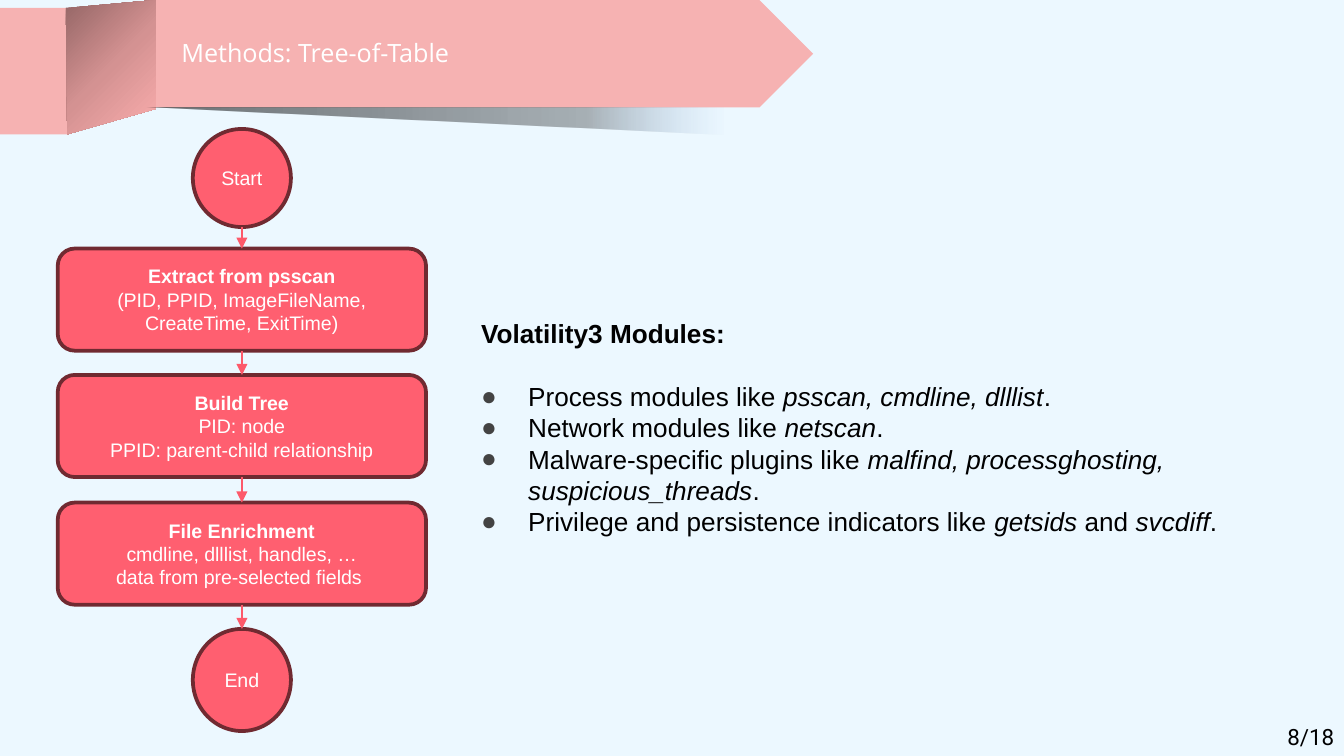
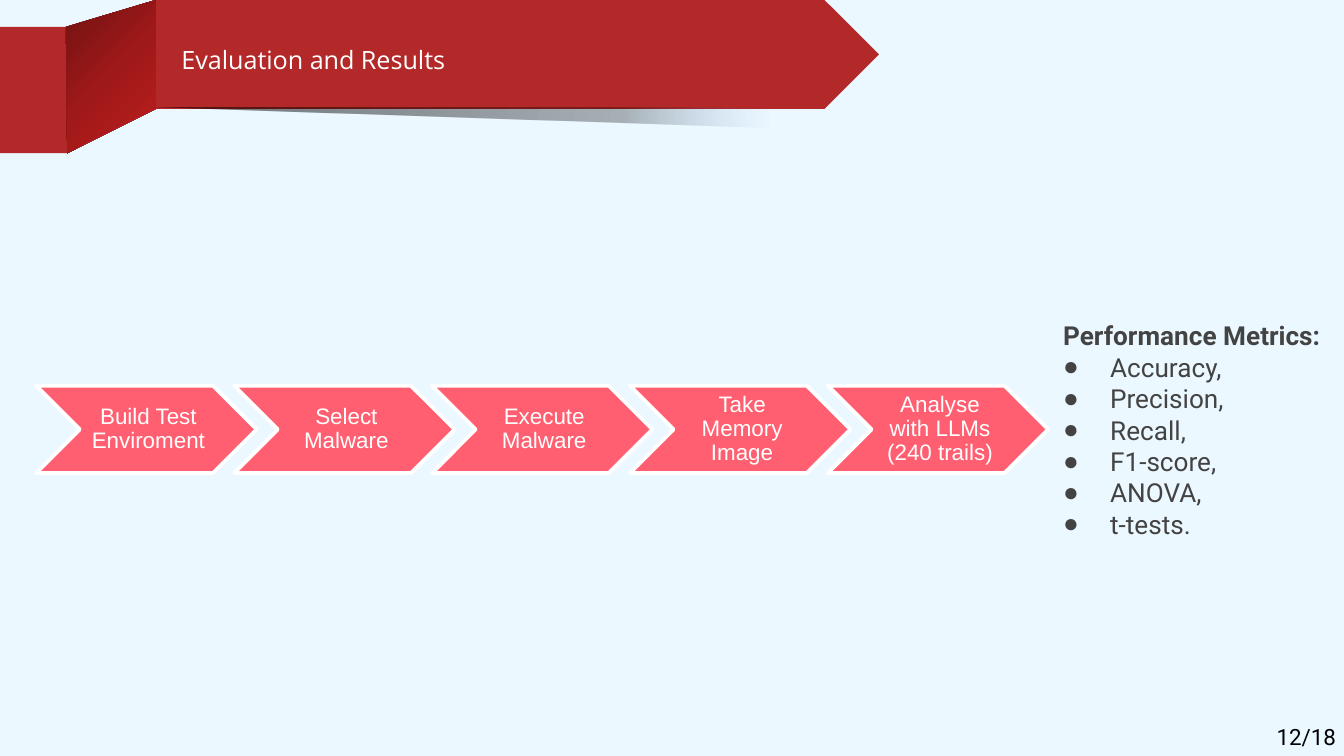
from lxml import etree
from pptx import Presentation
from pptx.dml.color import RGBColor
from pptx.enum.shapes import MSO_CONNECTOR, MSO_SHAPE
from pptx.enum.text import MSO_ANCHOR, MSO_AUTO_SIZE, PP_ALIGN
from pptx.oxml.ns import qn
from pptx.util import Inches, Pt

RECTANGLE, PENTAGON = MSO_SHAPE.RECTANGLE, MSO_SHAPE.PENTAGON
TRIANGLE, CHEVRON = MSO_SHAPE.RIGHT_TRIANGLE, MSO_SHAPE.CHEVRON
CIRCLE, ROUNDED = MSO_SHAPE.OVAL, MSO_SHAPE.ROUNDED_RECTANGLE
STRAIGHT = MSO_CONNECTOR.STRAIGHT
LEFT, CENTER = PP_ALIGN.LEFT, PP_ALIGN.CENTER
TOP, MIDDLE = MSO_ANCHOR.TOP, MSO_ANCHOR.MIDDLE
NO_AUTOFIT = MSO_AUTO_SIZE.NONE

PALE_BLUE, WHITE, BLACK, GREY = "ECF8FF", "FFFFFF", "000000", "434343"
CORAL, MAROON, ARROW_PINK = "FF5F70", "702A31", "FD596A"
# Gradient stops: position in percent, colour, opacity in percent
SHADOW_STOPS = [(0, BLACK, 54), (1, BLACK, 54), (76, BLACK, 29), (100, "3B74C5", 0)]


def paint(shape, fill, line=None, width=2, angle=45):
    """Fill with one hex colour or with gradient stops, and outline if asked."""
    shape.shadow.inherit = False
    if isinstance(fill, str):
        shape.fill.solid()
        shape.fill.fore_color.rgb = RGBColor.from_string(fill)
    else:
        shape.fill.gradient()
        shape.fill.gradient_angle = 360 - angle
        stops = shape.element.spPr.find(qn("a:gradFill")).find(qn("a:gsLst"))
        stops.clear()
        for position, color, opacity in fill:
            stop = etree.SubElement(stops, qn("a:gs"), pos=str(position * 1000))
            tint = etree.SubElement(stop, qn("a:srgbClr"), val=color)
            etree.SubElement(tint, qn("a:alpha"), val=str(opacity * 1000))
    if line:
        shape.line.color.rgb = RGBColor.from_string(line)
        shape.line.width = Pt(width)
    else:
        shape.line.fill.background()


def write(shape, paragraphs, font="Arial", size=12, color=WHITE, align=LEFT,
          anchor=TOP, insets=(0.1, 0.05, 0.1, 0.05), spacing=1.0, heading=False,
          heading_gap=0, bullets=False, wrap=True):
    """Write paragraphs; *starred* words are italic, a heading is the bold first one."""
    frame = shape.text_frame
    frame.word_wrap = wrap
    frame.auto_size = NO_AUTOFIT
    frame.vertical_anchor = anchor
    (frame.margin_left, frame.margin_top,
     frame.margin_right, frame.margin_bottom) = map(Inches, insets)
    for index, text in enumerate(paragraphs):
        is_heading = heading and index == 0
        paragraph = frame.add_paragraph() if index else frame.paragraphs[0]
        paragraph.alignment = align
        paragraph.line_spacing = spacing
        paragraph.space_before = Pt(0)
        paragraph.space_after = Pt(heading_gap if is_heading else 0)
        for line_index, line in enumerate(text.split("\n")):
            if line_index:
                paragraph.add_line_break()
            for piece_index, piece in enumerate(line.split("*")):
                run = paragraph.add_run()
                run.text = piece
                run.font.name = font
                run.font.size = Pt(size)
                run.font.bold = is_heading
                run.font.italic = piece_index % 2 == 1
                run.font.color.rgb = RGBColor.from_string(color)
        if bullets:
            properties = paragraph._p.get_or_add_pPr()
            properties.set("marL", str(Inches(0.15 if is_heading else 0.5)))
            properties.set("indent", str(Inches(0 if is_heading else -0.35)))
            if is_heading:
                etree.SubElement(properties, qn("a:buNone"))
            else:
                bullet_color = etree.SubElement(properties, qn("a:buClr"))
                etree.SubElement(bullet_color, qn("a:srgbClr"), val=GREY)
                etree.SubElement(properties, qn("a:buChar"), char="●")


presentation = Presentation()
presentation.slide_width = Inches(10)
presentation.slide_height = Inches(10 * 9 / 16)
background = presentation.slide_master.background.fill
background.solid()
background.fore_color.rgb = RGBColor.from_string(PALE_BLUE)

pages = [
    dict(
        title="Methods: Tree-of-Table", title_top=0.24, ribbon="F6B2B2",
        fold=[(0, "956666", 100), (50, "D49292", 100), (100, "FBADAD", 100)],
        tail_top=0.06, ribbon_size=(4.89, 0.8), shadow=(1.09, 0.8, 4.3, 0.2),
        number="8/18", number_left=9.48,
        notes_at=(3.33, 2.31, 6.01, 1.75), font="Arial", color=BLACK, heading_gap=17,
        notes=[
            "Volatility3 Modules:",
            "Process modules like *psscan, cmdline, dlllist*.",
            "Network modules like *netscan*.",
            "Malware-specific plugins like *malfind, processghosting, suspicious_threads*.",
            "Privilege and persistence indicators like *getsids* and *svcdiff*.",
        ],
    ),
    dict(
        title="Evaluation and Results", title_top=0.29, ribbon="B32828",
        fold=[(0, "701212", 100), (50, "A01919", 100), (100, "BD1E1E", 100)],
        tail_top=0.2, ribbon_size=(5.38, 0.81), shadow=(1.13, 0.8, 4.6, 0.15),
        number="12/18", number_left=9.4,
        notes_at=(7.66, 2.33, 2.34, 1.75), font="Roboto", color=GREY, heading_gap=0,
        notes=["Performance Metrics:", "Accuracy,", "Precision,", "Recall,",
               "F1-score,", "ANOVA,", "t-tests."],
    ),
]

# Ribbon title, notes and page number of each slide
slides = []
for page in pages:
    slide = presentation.slides.add_slide(presentation.slide_layouts[1])
    slides.append(slide)
    shapes = slide.shapes
    tail_top = page["tail_top"]

    tail = shapes.add_shape(RECTANGLE, 0, Inches(tail_top), Inches(0.51), Inches(0.94))
    paint(tail, page["ribbon"])
    band = shapes.add_shape(PENTAGON, Inches(1.16), 0, *map(Inches, page["ribbon_size"]))
    paint(band, page["ribbon"])

    outline = [(0.49, tail_top), (1.16, 0), (1.16, 0.81), (0.5, tail_top + 0.94)]
    corners = [(Inches(x), Inches(y)) for x, y in outline]
    builder = shapes.build_freeform(*corners[0])
    builder.add_line_segments(corners[1:])
    paint(builder.convert_to_shape(), page["fold"])

    shadow = shapes.add_shape(TRIANGLE, *map(Inches, page["shadow"]))
    shadow.rotation = 180
    paint(shadow, SHADOW_STOPS, angle=180)

    title = shapes.title
    title.element.getparent().append(title.element)  # in front of the ribbon
    title.left, title.top = Inches(1.28), Inches(page["title_top"])
    title.width, title.height = Inches(4.01), Inches(0.3)
    write(title, [page["title"]], font="Open Sans", size=13.5,
          insets=(0.07, 0.04, 0.07, 0.04))

    notes = slide.placeholders[1]
    notes.left, notes.top, notes.width, notes.height = map(Inches, page["notes_at"])
    write(notes, page["notes"], font=page["font"], size=14, color=page["color"],
          heading=True, heading_gap=page["heading_gap"], bullets=True)

    number_left = page["number_left"]
    page_number = shapes.add_textbox(Inches(number_left), Inches(5.33),
                                     Inches(10 - number_left), Inches(0.29))
    write(page_number, [page["number"]], font="Roboto", color=BLACK, wrap=False)

methods, evaluation = slides

# Flow from start to end: preset, top, width, height, text
flow_center = 1.8
flow = [
    (CIRCLE, 0.96, 0.73, 0.73, ["Start"]),
    (ROUNDED, 1.85, 2.74, 0.76,
     ["Extract from psscan", "(PID, PPID, ImageFileName, CreateTime, ExitTime)"]),
    (ROUNDED, 2.79, 2.74, 0.76,
     ["Build Tree", "PID: node\nPPID: parent-child relationship"]),
    (ROUNDED, 3.74, 2.74, 0.76,
     ["File Enrichment", "cmdline, dlllist, handles, …", "data from pre-selected fields "]),
    (CIRCLE, 4.68, 0.73, 0.76, ["End"]),
]
for preset, top, width, height, text in flow:
    step = methods.shapes.add_shape(preset, Inches(flow_center - width / 2), Inches(top),
                                    Inches(width), Inches(height))
    paint(step, CORAL, line=MAROON)
    write(step, text, size=10.5, align=CENTER, anchor=MIDDLE, heading=len(text) > 1,
          insets=(0, 0, 0, 0) if preset == CIRCLE else (0.1, 0.05, 0.1, 0.05))

for (_, top, _, height, _), (_, next_top, _, _, _) in zip(flow, flow[1:]):
    arrow = methods.shapes.add_connector(STRAIGHT, Inches(flow_center), Inches(top + height),
                                         Inches(flow_center), Inches(next_top))
    arrow.line.color.rgb = RGBColor.from_string(ARROW_PINK)
    arrow.line.width = Pt(0.75)
    outline = arrow.element.spPr.find(qn("a:ln"))
    etree.SubElement(outline, qn("a:tailEnd"), type="triangle")
    etree.SubElement(arrow.element.spPr, qn("a:effectLst"))

# Chevron chain of the experiment
stages = ["Build Test Enviroment", "Select Malware", "Execute Malware",
          "Take Memory Image", "Analyse with LLMs\n(240 trails)"]
first_left, last_left = 0.27, 6.16
pitch = (last_left - first_left) / (len(stages) - 1)
for index, stage in enumerate(stages):
    chevron = evaluation.shapes.add_shape(CHEVRON, Inches(first_left + pitch * index),
                                          Inches(2.87), Inches(1.64), Inches(0.65))
    paint(chevron, CORAL, line=WHITE)
    write(chevron, [stage], align=CENTER, anchor=MIDDLE, spacing=0.9,
          insets=(0.05, 0.02, 0.02, 0.02))

presentation.save("out.pptx")
